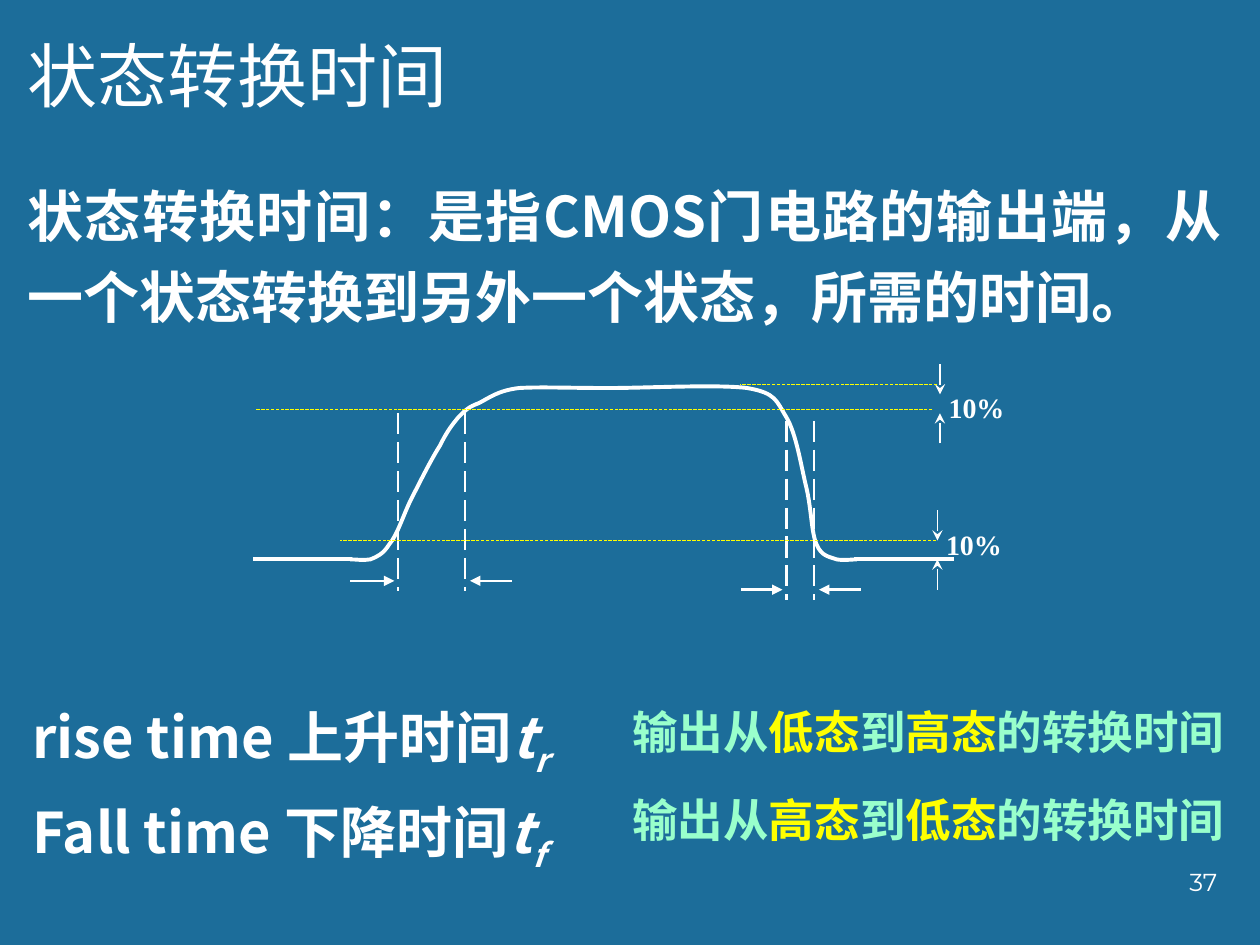
from pptx import Presentation
from pptx.dml.color import RGBColor
from pptx.enum.dml import MSO_LINE
from pptx.enum.shapes import MSO_CONNECTOR
from pptx.enum.text import MSO_AUTO_SIZE, PP_ALIGN
from pptx.oxml.ns import qn
from pptx.util import Inches, Pt
from lxml import etree

STRAIGHT = MSO_CONNECTOR.STRAIGHT
LONG_DASH = MSO_LINE.LONG_DASH
FIT_SHAPE, FIXED_SIZE = MSO_AUTO_SIZE.SHAPE_TO_FIT_TEXT, MSO_AUTO_SIZE.NONE
LEFT, RIGHT, JUSTIFY = PP_ALIGN.LEFT, PP_ALIGN.RIGHT, PP_ALIGN.JUSTIFY

WHITE, YELLOW, MINT, BLUE = "FFFFFF", "FFFF00", "99FFCC", "1C6D9A"
CHINESE, SYMBOL = "Noto Sans CJK SC", "Noto Sans CJK JP"
DIGITS, PERCENT = "Montserrat", "Times New Roman"

# Start point, then two control points and an end point for each curve
PULSE_START = (2.78, 4.44)
PULSE_CURVES = [
    [(2.83, 4.44), (2.88, 4.45), (2.94, 4.44)],
    [(2.99, 4.42), (3.04, 4.4), (3.09, 4.32)],
    [(3.15, 4.25), (3.19, 4.12), (3.25, 3.99)],
    [(3.32, 3.85), (3.42, 3.65), (3.49, 3.54)],
    [(3.55, 3.42), (3.59, 3.37), (3.64, 3.31)],
    [(3.7, 3.25), (3.72, 3.23), (3.8, 3.2)],
    [(3.88, 3.16), (3.95, 3.1), (4.12, 3.08)],
    [(4.29, 3.07), (4.52, 3.08), (4.83, 3.08)],
    [(5.13, 3.08), (5.69, 3.05), (5.93, 3.08)],
    [(6.16, 3.12), (6.16, 3.18), (6.24, 3.31)],
    [(6.32, 3.44), (6.36, 3.71), (6.4, 3.87)],
    [(6.44, 4.04), (6.44, 4.23), (6.48, 4.32)],
    [(6.52, 4.42), (6.59, 4.42), (6.64, 4.44)],
    [(6.69, 4.45), (6.77, 4.44), (6.8, 4.44)],
]


def color(value):
    return RGBColor.from_string(value)


def add_text(shapes, box, paragraphs, size, font=CHINESE, bold=False, wrap=True,
             auto_size=FIT_SHAPE, **paragraph_format):
    """Each paragraph is a list of (text, changed format values)."""
    shape = shapes.add_textbox(*map(Inches, box))
    frame = shape.text_frame
    frame.word_wrap = wrap
    frame.auto_size = auto_size
    for index, runs in enumerate(paragraphs):
        paragraph = frame.paragraphs[0] if index == 0 else frame.add_paragraph()
        for name, value in paragraph_format.items():
            if index or name != "space_before":
                setattr(paragraph, name, value)
        for text, changes in runs:
            run = paragraph.add_run()
            run.text = text
            values = {"size": Pt(size), "name": font, "bold": bold, "color": WHITE, **changes}
            run.font.color.rgb = color(values.pop("color"))
            baseline = values.pop("baseline", None)
            for name, value in values.items():
                setattr(run.font, name, value)
            properties = run._r.get_or_add_rPr()
            if baseline:
                properties.set("baseline", str(baseline))
            east_asian = etree.SubElement(properties, qn("a:ea"))
            east_asian.set("typeface", values["name"])


def add_line(shapes, start, end, width, line_color=WHITE, dash=None, arrow=None):
    connector = shapes.add_connector(STRAIGHT, *map(Inches, (*start, *end)))
    connector.line.color.rgb = color(line_color)
    connector.line.width = Pt(width)
    if dash:
        connector.line.dash_style = dash
    if arrow:
        tail = etree.SubElement(connector.line._get_or_add_ln(), qn("a:tailEnd"))
        tail.set("type", arrow)
    etree.SubElement(connector._element.spPr, qn("a:effectLst"))


def add_curve(shapes, start, curves, width):
    points = [tuple(map(Inches, point)) for curve in curves for point in curve]
    builder = shapes.build_freeform(*map(Inches, start))
    builder.add_line_segments(points, close=False)
    shape = builder.convert_to_shape()
    shape.fill.background()
    shape.line.color.rgb = color(WHITE)
    shape.line.width = Pt(width)
    shape.shadow.inherit = False
    # Merge every three line segments into one Bézier segment
    segments = list(shape._element.iter(qn("a:lnTo")))
    for index in range(0, len(segments), 3):
        bezier = etree.Element(qn("a:cubicBezTo"))
        segments[index].addprevious(bezier)
        for segment in segments[index:index + 3]:
            bezier.append(segment[0])
            segment.getparent().remove(segment)


def add_transition(slide, left, right, top, bottom, outer_left, outer_right):
    """Two dashed limits with arrows pointing at them from outside."""
    shapes = slide.shapes.add_group_shape().shapes
    arrow_y = bottom - 0.08
    for x in (right, left):
        add_line(shapes, (x, top), (x, bottom), 1.5, dash=LONG_DASH)
    for outer, tip in ((outer_left, left - 0.03), (outer_right, right + 0.04)):
        add_line(shapes, (outer, arrow_y), (tip, arrow_y), 1.5, arrow="triangle")


def add_percent(shapes, box, x, upper, lower):
    """A 10% label and the vertical arrows that close in on its range."""
    add_text(shapes, box, [[("10%", {})]], 16, font=PERCENT, bold=True, wrap=False)
    for tip, offset in ((upper, -0.24), (lower, 0.24)):
        add_line(shapes, (x, tip + offset), (x, tip), 1, arrow="stealth")


def add_reference(shapes, start_x, end_x, y):
    add_line(shapes, (start_x, y), (end_x, y), 0.25, YELLOW, LONG_DASH)


def add_waveform(slide):
    add_transition(slide, 3.16, 3.69, 3.28, 4.69, 2.78, 4.06)
    add_transition(slide, 6.24, 6.46, 3.34, 4.76, 5.88, 6.83)

    # Pulse
    pulse = slide.shapes.add_group_shape().shapes
    for start_x, end_x in ((6.78, 7.57), (2.01, 2.79)):
        add_line(pulse, (start_x, 4.44), (end_x, 4.44), 2.25)
    add_curve(pulse, PULSE_START, PULSE_CURVES, 2.25)

    # Levels and percentages
    add_reference(slide.shapes, 7.43, 2.7, 4.29)
    add_reference(slide.shapes, 7.4, 2.03, 3.25)
    levels = slide.shapes.add_group_shape().shapes
    add_percent(levels, (7.41, 4.14, 0.65, 0.37), 7.44, 4.29, 4.44)
    add_percent(levels, (7.43, 3.05, 0.65, 0.37), 7.46, 3.13, 3.28)
    add_reference(levels, 7.44, 5.87, 3.05)


def add_times(slide):
    symbol = {"name": SYMBOL, "italic": True}
    names = [("rise time 上升时间", "r"), ("Fall time 下降时间", "f")]
    paragraphs = [[(name, {}), ("t", symbol), (index, {**symbol, "baseline": -25000})]
                  for name, index in names]
    add_text(slide.shapes, (0.16, 5.49, 5.27, 1.39), paragraphs, 32, bold=True,
             alignment=LEFT, line_spacing=Pt(46.3), space_before=Pt(8))

    mint, yellow = {"color": MINT}, {"color": YELLOW}
    for top, before, after in ((5.55, "低态", "高态"), (6.25, "高态", "低态")):
        runs = [("输出从", mint), (before, yellow), ("到", mint), (after, yellow),
                ("的转换时间", mint)]
        add_text(slide.shapes, (4.92, top, 4.97, 0.54), [runs], 26, bold=True,
                 wrap=False, line_spacing=Pt(30.5))


def main():
    presentation = Presentation()
    presentation.slide_width, presentation.slide_height = Inches(10), Inches(7.5)
    slide = presentation.slides.add_slide(presentation.slide_layouts[6])
    slide.background.fill.solid()
    slide.background.fill.fore_color.rgb = color(BLUE)

    # Title and definition
    add_text(slide.shapes, (0.12, 0.21, 6.77, 0.77), [[("状态转换时间", {})]], 40,
             alignment=JUSTIFY, line_spacing=Pt(48))
    definition = "状态转换时间：是指CMOS门电路的输出端，从一个状态转换到另外一个状态，所需的时间。"
    add_text(slide.shapes, (0.12, 1.28, 9.68, 1.39), [[(definition, {})]], 32, bold=True,
             alignment=JUSTIFY, line_spacing=Pt(46.3))

    add_waveform(slide)
    add_times(slide)

    # Slide number
    add_text(slide.shapes, (7.68, 6.83, 2.08, 0.5), [[("37", {})]], 14, font=DIGITS,
             auto_size=FIXED_SIZE, alignment=RIGHT)
    presentation.save("out.pptx")


if __name__ == "__main__":
    main()
